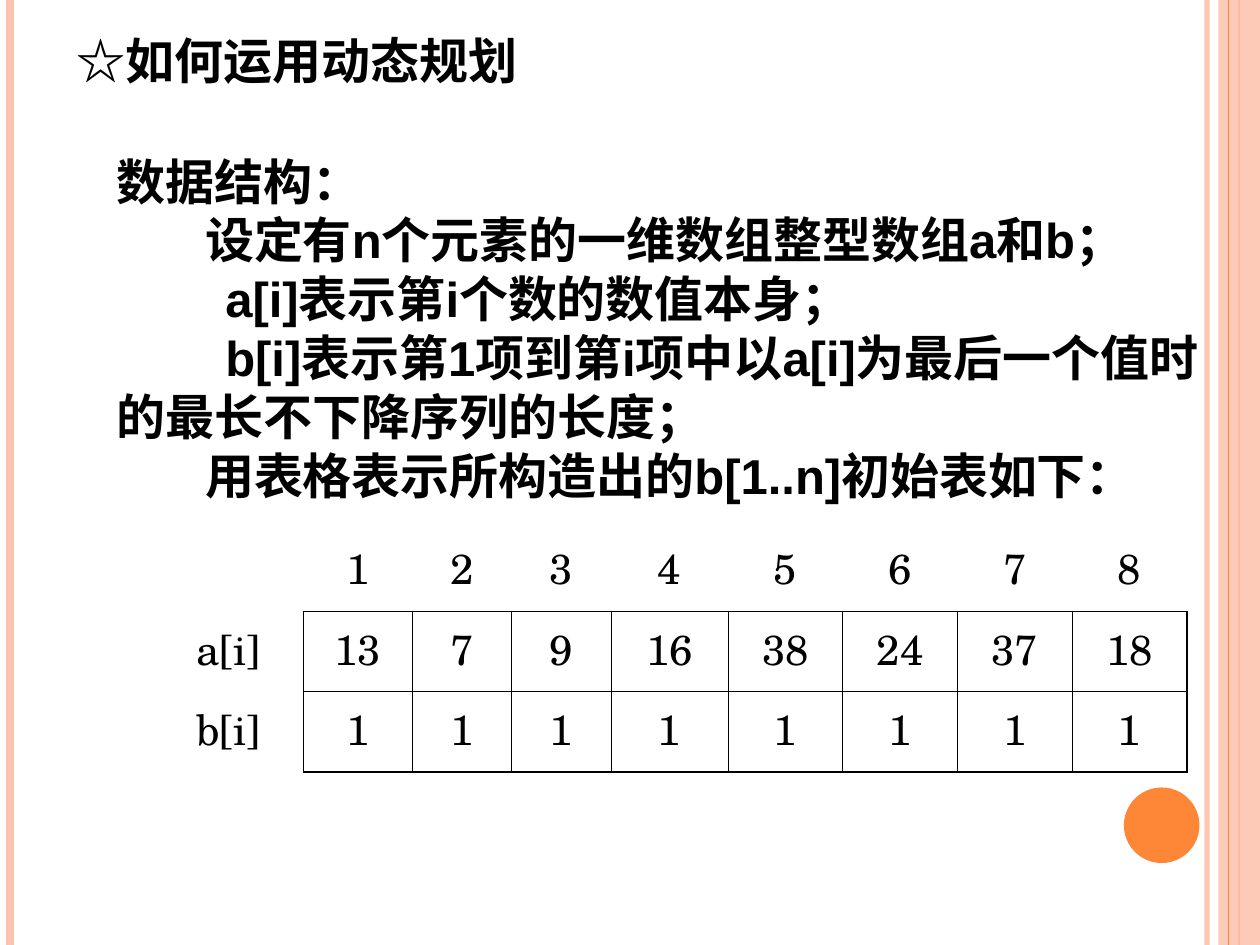
"""Build the dynamic programming slide with its data structure text and table."""
from dataclasses import dataclass

from lxml import etree
from pptx import Presentation
from pptx.dml.color import RGBColor
from pptx.enum.shapes import MSO_CONNECTOR, MSO_SHAPE
from pptx.enum.text import MSO_ANCHOR, MSO_AUTO_SIZE, PP_ALIGN
from pptx.oxml.ns import qn
from pptx.util import Inches, Pt

STRAIGHT = MSO_CONNECTOR.STRAIGHT
RECT, OVAL = MSO_SHAPE.RECTANGLE, MSO_SHAPE.OVAL
TOP, MIDDLE, BOTTOM = MSO_ANCHOR.TOP, MSO_ANCHOR.MIDDLE, MSO_ANCHOR.BOTTOM
LEFT, CENTER = PP_ALIGN.LEFT, PP_ALIGN.CENTER
NO_FIT = MSO_AUTO_SIZE.NONE
TITLE_ONLY = 5
PEACH, ORANGE, BLACK, WHITE = "FEC3AE", "FE8637", "000000", "FFFFFF"
THIN, THICK = 0.45, 1.08


@dataclass
class Stripe:
    x: float
    color: str
    width: float
    opacity: int = 100


@dataclass
class Line:
    text: str
    indent: float = 0


STRIPES = [
    Stripe(9.58, PEACH, 3, 93),
    Stripe(0.08, PEACH, 4.5),
    Stripe(9.83, ORANGE, 1.5),
]
INNER_STRIPE = Stripe(9.75, ORANGE, 0.75)
BODY = [
    Line("数据结构："),
    Line("设定有n个元素的一维数组整型数组a和b；", 0.7),
    Line("a[i]表示第i个数的数值本身；", 0.86),
    Line("b[i]表示第1项到第i项中以a[i]为最后一个值时的最长不下降序列的长度；", 0.86),
    Line("用表格表示所构造出的b[1..n]初始表如下：", 0.7),
]
ROWS = [
    ["", *"12345678"],
    ["a[i]", "13", "7", "9", "16", "38", "24", "37", "18"],
    ["b[i]"] + ["1"] * 8,
]
COL_WIDTHS = [1.19, 0.86, 0.79, 0.79, 0.93] + [0.91] * 4
ROW_HEIGHT = 0.64


def rgb(color: str) -> RGBColor:
    return RGBColor.from_string(color)


def set_alpha(sp, opacity: int) -> None:
    clr = next(sp._element.spPr.iter(qn("a:srgbClr")))
    etree.SubElement(clr, qn("a:alpha")).set("val", str(opacity * 1000))


def style_runs(p, size: float, font: str, bold: bool) -> None:
    for r in p.runs:
        r.font.size, r.font.name, r.font.bold = Pt(size), font, bold
        r.font.color.rgb = rgb(BLACK)


def add_stripe(s, stripe: Stripe):
    x = Inches(stripe.x)
    sp = s.shapes.add_connector(STRAIGHT, x, 0, x, Inches(7.5))
    sp.line.color.rgb = rgb(stripe.color)
    sp.line.width = Pt(stripe.width)
    if stripe.opacity < 100:
        set_alpha(sp, stripe.opacity)
    etree.SubElement(sp._element.spPr, qn("a:effectLst"))
    return sp


def add_filled(s, kind, box: tuple, color: str):
    sp = s.shapes.add_shape(kind, *map(Inches, box))
    sp.shadow.inherit = False
    sp.fill.solid()
    sp.fill.fore_color.rgb = rgb(color)
    sp.line.fill.background()
    return sp


def add_decoration(s) -> None:
    *_, center = [add_stripe(s, stripe) for stripe in STRIPES]
    band = add_filled(s, RECT, (9.67, 0, 0.33, 7.5), PEACH)
    set_alpha(band, 87)
    center.begin_connect(band, 0)
    center.end_connect(band, 2)
    add_stripe(s, INNER_STRIPE)
    add_filled(s, OVAL, (8.92, 6.25, 0.6, 0.6), ORANGE)


def set_borders(cell, row: int, col: int) -> None:
    last_row, last_col = len(ROWS) - 1, len(COL_WIDTHS) - 1
    in_grid = row > 0 and col > 0
    right = in_grid or (row > 0 and col == 0)
    bottom = col > 0
    edges = {
        "L": (in_grid, THIN),
        "R": (right, THICK if in_grid and col == last_col else THIN),
        "T": (in_grid, THIN),
        "B": (bottom, THICK if in_grid and row == last_row else THIN),
    }
    tc_pr = cell._tc.get_or_add_tcPr()
    for side, (visible, width) in edges.items():
        ln = etree.SubElement(tc_pr, qn(f"a:ln{side}"), w=str(int(Pt(width))))
        fill = etree.SubElement(ln, qn("a:solidFill"))
        etree.SubElement(fill, qn("a:srgbClr"), val=BLACK if visible else WHITE)


def add_grid(s) -> None:
    frame = s.shapes.add_table(
        len(ROWS), len(COL_WIDTHS), Inches(1.22), Inches(4.21),
        Inches(sum(COL_WIDTHS)), Inches(ROW_HEIGHT * len(ROWS)))
    table = frame.table
    table.first_row = table.horz_banding = False
    for column, width in zip(table.columns, COL_WIDTHS):
        column.width = Inches(width)
    for i, values in enumerate(ROWS):
        table.rows[i].height = Inches(ROW_HEIGHT)
        for j, value in enumerate(values):
            cell = table.cell(i, j)
            set_borders(cell, i, j)
            cell.fill.background()
            cell.vertical_anchor = MIDDLE
            cell.margin_bottom = Inches(0.1)
            cell.text_frame.text = value
            p = cell.text_frame.paragraphs[0]
            p.alignment = CENTER
            style_runs(p, 24, "TeX Gyre Schola", False)


def add_body(s) -> None:
    sp = s.shapes.add_textbox(*map(Inches, (0.83, 1.15, 8.82, 2.9)))
    tf = sp.text_frame
    tf.word_wrap = True
    tf.vertical_anchor = BOTTOM
    tf.text = "\n".join(line.text for line in BODY)
    for p, line in zip(tf.paragraphs, BODY):
        p._p.get_or_add_pPr().set("indent", str(Inches(line.indent)))
        style_runs(p, 28, "Arial", True)


def set_title(s) -> None:
    sp = s.shapes.title
    sp.left, sp.top, sp.width, sp.height = map(Inches, (0.51, 0.19, 3.8, 0.57))
    tf = sp.text_frame
    tf.text = "☆如何运用动态规划"
    tf.word_wrap = False
    tf.auto_size = NO_FIT
    tf.margin_right = 0
    tf.vertical_anchor = TOP
    p = tf.paragraphs[0]
    p.alignment = LEFT
    style_runs(p, 28, "Arial", True)


def main() -> None:
    prs = Presentation()
    prs.slide_width, prs.slide_height = Inches(10), Inches(7.5)
    s = prs.slides.add_slide(prs.slide_layouts[TITLE_ONLY])
    s.background.fill.solid()
    s.background.fill.fore_color.rgb = rgb(WHITE)
    add_decoration(s)
    add_grid(s)
    add_body(s)
    set_title(s)
    prs.save("out.pptx")


if __name__ == "__main__":
    main()
